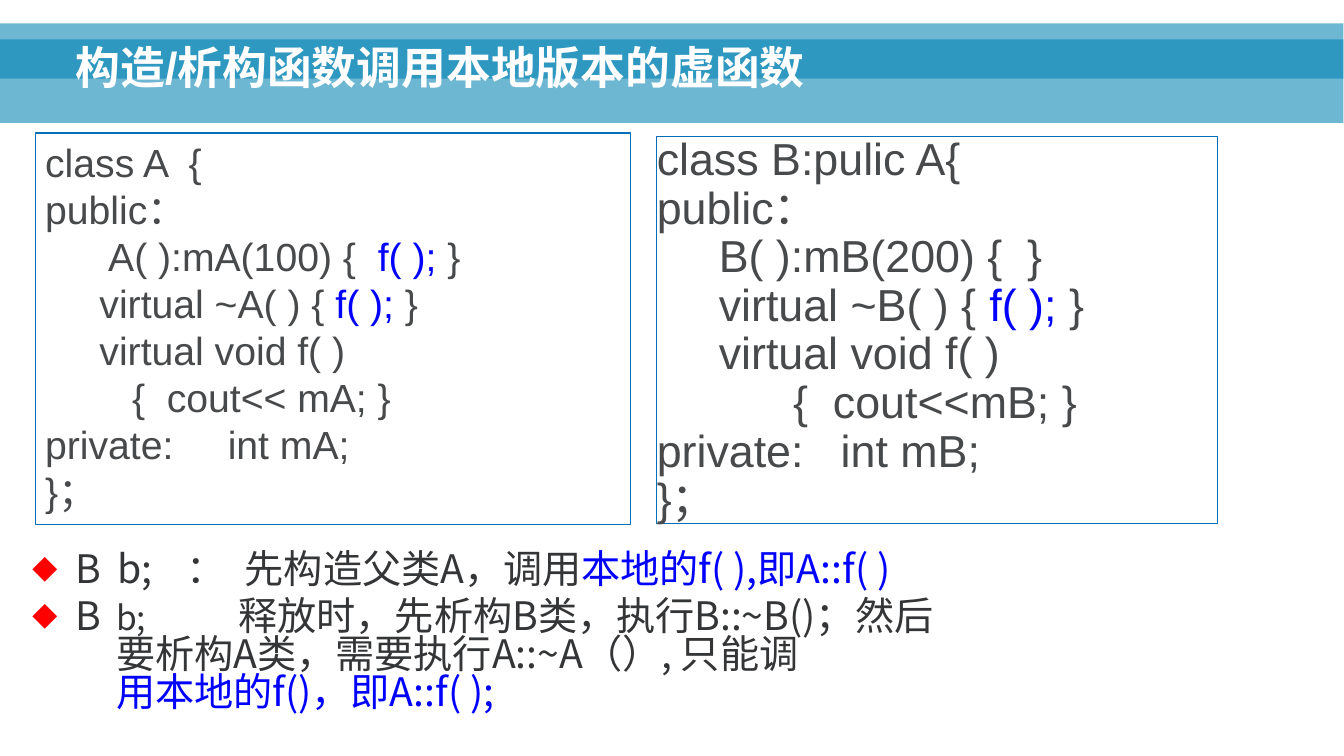
from lxml import etree
from pptx import Presentation
from pptx.dml.color import RGBColor
from pptx.enum.shapes import MSO_SHAPE
from pptx.enum.text import MSO_ANCHOR, PP_ALIGN
from pptx.oxml.ns import qn
from pptx.util import Pt

RECTANGLE = MSO_SHAPE.RECTANGLE
TOP, BOTTOM = MSO_ANCHOR.TOP, MSO_ANCHOR.BOTTOM
LEFT = PP_ALIGN.LEFT

COLORS = {"band": "0082B3", "frame": "046FB6", "title": "FFFFFF", "code": "47494B",
          "note": "343537", "call": "0000FF", "bullet": "FF0000"}
LATIN, CJK = "Arial", "Noto Sans CJK SC"

PAGE_WIDTH, PAGE_HEIGHT = 960.48, 540
TITLE = "构造/析构函数调用本地版本的虚函数"
TITLE_AREA = (46.8, 7.9, 862.6, 62.6)
BANDS = [(0, 28.1, 960, 59.8), (0, 16.6, 960, 39.6)]

# Each line is a list of (text, colour) spans.
CLASS_A = [
    [("class A  {", "code")],
    [("public：", "code")],
    [("      A( ):mA(100) { ", "code"), (" f( ); ", "call"), ("}", "code")],
    [("     virtual ~A( ) {", "code"), (" f( ); ", "call"), ("}", "code")],
    [("     virtual void f( )", "code")],
    [("        {  cout<< mA; }", "code")],
    [("private:     int mA;", "code")],
    [("}；", "code")],
]
CLASS_B = [
    [("class B:pulic A{", "code")],
    [("public：", "code")],
    [("     B( ):mB(200) {  }", "code")],
    [("     virtual ~B( ) { ", "code"), ("f( );", "call"), (" }", "code")],
    [("     virtual void f( )", "code")],
    [("           {  cout<<mB; }", "code")],
    [("private:   int mB;", "code")],
    [("}；", "code")],
]
# area, lines, font size, line pitch, side inset, top inset
CODE_BOXES = [
    ((25.2, 95, 425.5, 279.4), CLASS_A, 28, 33.6, 7.2, 3.6),
    ((469.4, 97.2, 401, 276.5), CLASS_B, 32, 34.7, 0, 0),
]

NOTE_AREA = (23, 395.3, 681.8, 114.5)
NOTE_SIZE, NOTE_PITCH, NOTE_GAP, NOTE_INDENT = 28, 27.2, 6.4, 31
# Tab stops, then (text, colour, size) spans; None is a line break.
NOTES = [
    ([61, 110, 152],
     [("B\tb;\t：\t先构造父类A，调用", "note", 28), ("本地的f( ),即A::f( )", "call", 28)]),
    ([60, 131.5, 147.5],
     [("B", "note", 28), ("\tb;", "note", 24),
      ("\t\t释放时，先析构B类，执行B::~B()；然后", "note", 28), None,
      ("\t要析构A类，需要执行A::~A（）, 只能调", "note", 28), None,
      ("\t用本地的f()，即A::f( );", "call", 28)]),
]


def color(name):
    return RGBColor.from_string(COLORS[name])


def add_rectangle(page, area):
    box = page.shapes.add_shape(RECTANGLE, *map(Pt, area))
    box.shadow.inherit = False
    return box


def add_band(page, area):
    band = add_rectangle(page, area)
    band.fill.solid()
    band.fill.fore_color.rgb = color("band")
    band.line.fill.background()
    fill = band.fill._xPr.find(qn("a:solidFill"))
    etree.SubElement(fill[0], qn("a:alpha"), val="57000")


def set_frame(box, side=0, top=0, anchor=TOP):
    frame = box.text_frame
    frame.word_wrap = True
    frame.vertical_anchor = anchor
    frame.margin_left = frame.margin_right = Pt(side)
    frame.margin_top = frame.margin_bottom = Pt(top)
    return frame


def add_span(para, text, color_name, size, latin=LATIN, bold=False):
    span = para.add_run()
    span.text = text
    font = span.font
    font.size, font.bold, font.name = Pt(size), bold, latin
    font.color.rgb = color(color_name)
    etree.SubElement(font._element, qn("a:ea"), typeface=CJK)


def paragraphs(frame, items):
    """Yield a paragraph of the frame with each item."""
    for index, item in enumerate(items):
        yield (frame.add_paragraph() if index else frame.paragraphs[0]), item


def add_bullet(para, tab_stops):
    props = para._p.get_or_add_pPr()
    props.set("marL", str(Pt(NOTE_INDENT)))
    props.set("indent", str(-Pt(NOTE_INDENT)))
    bullet_color = etree.SubElement(props, qn("a:buClr"))
    etree.SubElement(bullet_color, qn("a:srgbClr"), val=COLORS["bullet"])
    etree.SubElement(props, qn("a:buSzPct"), val="65000")
    etree.SubElement(props, qn("a:buFont"), typeface=CJK)
    etree.SubElement(props, qn("a:buChar"), char="◆")
    tabs = etree.SubElement(props, qn("a:tabLst"))
    for stop in tab_stops:
        etree.SubElement(tabs, qn("a:tab"), pos=str(Pt(stop)), algn="l")


def add_title(page):
    box = page.shapes.add_textbox(*map(Pt, TITLE_AREA))
    para = set_frame(box, 7.2, 3.6, BOTTOM).paragraphs[0]
    para.line_spacing = 0.9
    add_span(para, TITLE, "title", 32, bold=True)


def add_code_box(page, area, lines, size, pitch, side, top):
    box = add_rectangle(page, area)
    box.fill.background()
    box.line.color.rgb = color("frame")
    box.line.width = Pt(0.75)
    for para, line in paragraphs(set_frame(box, side, top), lines):
        para.alignment = LEFT
        para.line_spacing = Pt(pitch)
        for text, color_name in line:
            add_span(para, text, color_name, size)


def add_notes(page):
    box = page.shapes.add_textbox(*map(Pt, NOTE_AREA))
    for para, (tab_stops, spans) in paragraphs(set_frame(box), NOTES):
        add_bullet(para, tab_stops)
        para.line_spacing = Pt(NOTE_PITCH)
        para.space_after = Pt(NOTE_GAP)
        for span in spans:
            if span is None:
                para.add_line_break()
            else:
                add_span(para, *span, latin=CJK)


def main():
    deck = Presentation()
    deck.slide_width, deck.slide_height = Pt(PAGE_WIDTH), Pt(PAGE_HEIGHT)
    page = deck.slides.add_slide(deck.slide_layouts[6])
    for area in BANDS:
        add_band(page, area)
    add_title(page)
    for code_box in CODE_BOXES:
        add_code_box(page, *code_box)
    add_notes(page)
    deck.save("out.pptx")


if __name__ == "__main__":
    main()
